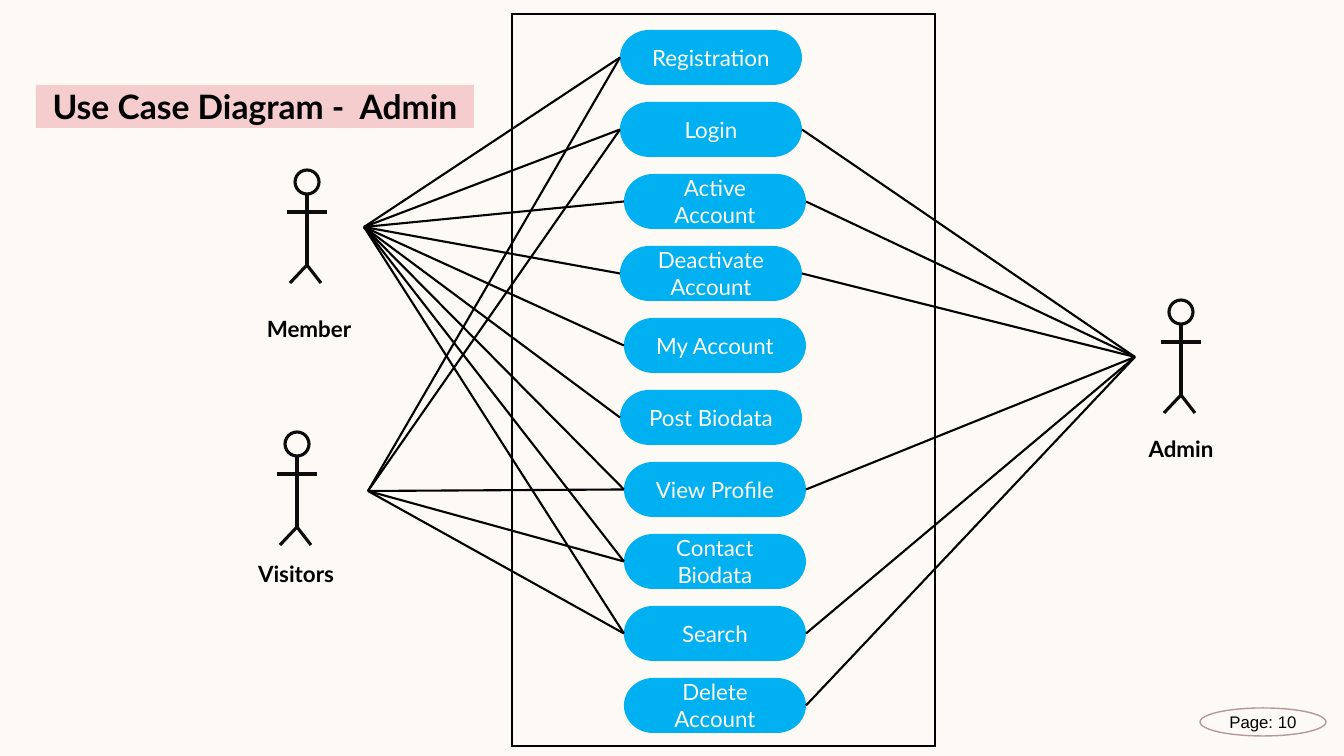
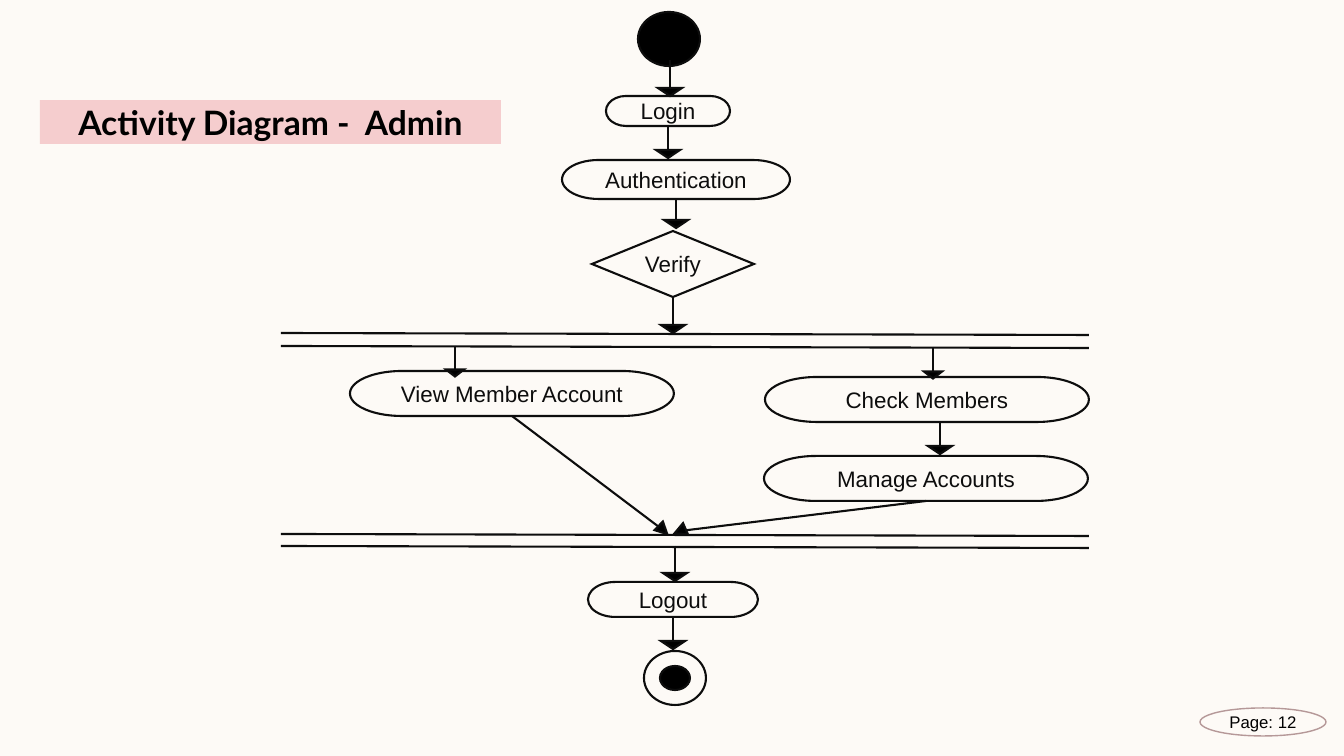
from lxml.etree import SubElement
from pptx import Presentation
from pptx.dml.color import RGBColor
from pptx.enum.shapes import MSO_CONNECTOR, MSO_SHAPE
from pptx.enum.text import MSO_ANCHOR, PP_ALIGN
from pptx.oxml.ns import qn
from pptx.util import Emu, Pt

PX = 914400 / 100.8  # EMU in one px
TOP, LEFT, BOTTOM, RIGHT = range(4)

# Theme: colours, type sizes and line widths
THEME = {
    "paper": "FDFAF6",
    "title": {"fill": "F5CDCE", "font": "Lato", "size": 24, "bold": True, "color": "000000"},
    "page_mark": {"line": "B59898", "width": 1, "font": "Arial", "size": 12, "color": "000000"},
    "use_case": {"fill": "00B0F0", "font": "Lato", "size": 16, "color": "FDFAF6", "wrap": True},
    "actor_name": {"font": "Lato", "size": 16, "bold": True, "color": "000000", "wrap": True},
    "stick": {"line": "0D0D0D", "width": 2.25},
    "link": {"line": "000000", "width": 1.5},
    "step": {"line": "0D0D0D", "width": 1.5, "font": "Arial", "size": 16, "color": "0D0D0D"},
    "solid": {"fill": "000000", "line": "0D0D0D", "width": 1.5},
}


def add_box(page, kind, bounds, style, text=""):
    """Add a preset shape, or a text box when kind is None."""
    place = [Emu(round(value * PX)) for value in bounds]
    if kind is None:
        box = page.shapes.add_textbox(*place)
    else:
        box = page.shapes.add_shape(kind, *place)
        box.shadow.inherit = False
    if "fill" in style:
        box.fill.solid()
        box.fill.fore_color.rgb = RGBColor.from_string(style["fill"])
    else:
        box.fill.background()
    if "line" in style:
        box.line.color.rgb = RGBColor.from_string(style["line"])
        box.line.width = Pt(style["width"])
        outline = box._element.spPr.find(qn("a:ln"))
        SubElement(outline, qn("a:miter"), lim="800000")
    else:
        box.line.fill.background()
    if text:
        frame = box.text_frame
        frame.word_wrap = style.get("wrap", False)
        frame.vertical_anchor = MSO_ANCHOR.MIDDLE
        para = frame.paragraphs[0]
        para.alignment = PP_ALIGN.CENTER
        span = para.add_run()
        span.text = text
        formats = {"name": style["font"], "size": Pt(style["size"]),
                   "bold": style.get("bold", False)}
        for name, value in formats.items():
            setattr(span.font, name, value)
        span.font.color.rgb = RGBColor.from_string(style["color"])
    return box


def add_line(page, start, end, style, source=None, side=BOTTOM):
    """Add a straight line, joined to the source box when there is one."""
    ends = [Emu(round(value * PX)) for value in (*start, *end)]
    line = page.shapes.add_connector(MSO_CONNECTOR.STRAIGHT, *ends)
    line.line.color.rgb = RGBColor.from_string(style["line"])
    line.line.width = Pt(style["width"])
    SubElement(line._element.spPr, qn("a:effectLst"))
    if source is not None:
        line.begin_connect(source, side)


# Deck, shared background, titles and page marks
deck = Presentation()
deck.slide_width, deck.slide_height = Emu(round(1344 * PX)), Emu(round(756 * PX))
backdrop = deck.slide_master.background.fill
backdrop.solid()
backdrop.fore_color.rgb = RGBColor.from_string(THEME["paper"])

pages = []
for title, bounds, mark in [
    ("Use Case Diagram -  Admin", (36, 85, 438, 43), "Page: 10"),
    ("Activity Diagram -  Admin", (40, 100, 461, 44), "Page: 12"),
]:
    page = deck.slides.add_slide(deck.slide_layouts[6])
    add_box(page, MSO_SHAPE.RECTANGLE, bounds, THEME["title"], title)
    add_box(page, MSO_SHAPE.OVAL, (1200, 708, 126, 28), THEME["page_mark"], mark)
    pages.append(page)
use_case_page, activity_page = pages

# Use cases inside the system frame
add_box(use_case_page, MSO_SHAPE.RECTANGLE, (512, 14, 423, 732), THEME["link"])
use_cases = {}
for row, (name, left) in enumerate([
    ("Registration", 620), ("Login", 620), ("Active Account", 624),
    ("Deactivate Account", 620), ("My Account", 624), ("Post Biodata", 620),
    ("View Profile", 624), ("Contact Biodata", 624), ("Search", 624),
    ("Delete Account", 624),
]):
    use_cases[name] = add_box(use_case_page, MSO_SHAPE.FLOWCHART_TERMINATOR,
                              (left, 30 + 72 * row, 182, 55), THEME["use_case"], name)

# Actors: centre and top of the head, top left of the name, hub of the links
actors = [
    ("Member", (307, 170), (195, 301), (364, 227), LEFT,
     ["Registration", "Login", "Active Account", "Deactivate Account", "My Account",
      "Post Biodata", "View Profile", "Contact Biodata", "Search"]),
    ("Visitors", (297, 432), (182, 546), (368, 491), LEFT,
     ["Registration", "Login", "View Profile", "Contact Biodata", "Search"]),
    ("Admin", (1181, 300), (1067, 421), (1135, 357), RIGHT,
     ["Login", "Active Account", "Deactivate Account", "View Profile", "Search",
      "Delete Account"]),
]
limbs = [((0, 25), (0, 95)), ((20, 42), (-20, 42)),
         ((0, 95), (-17, 113)), ((0, 95), (14, 113))]
for name, (x, y), (name_left, name_top), hub, side, linked in actors:
    add_box(use_case_page, MSO_SHAPE.OVAL, (x - 12, y, 24, 24), THEME["stick"])
    for (x1, y1), (x2, y2) in limbs:
        add_line(use_case_page, (x + x1, y + y1), (x + x2, y + y2), THEME["stick"])
    add_box(use_case_page, None, (name_left, name_top, 228, 55), THEME["actor_name"], name)
    for target in linked:
        box = use_cases[target]
        start = (box.left / PX, (box.top + box.height / 2) / PX)
        add_line(use_case_page, start, hub, THEME["link"], box, side)

# Activity steps
steps = {}
for name, kind, bounds in [
    ("Login", MSO_SHAPE.FLOWCHART_TERMINATOR, (606, 96, 124, 30)),
    ("Authentication", MSO_SHAPE.FLOWCHART_TERMINATOR, (562, 160, 228, 39)),
    ("Verify", MSO_SHAPE.FLOWCHART_DECISION, (592, 231, 162, 66)),
    ("View Member Account", MSO_SHAPE.FLOWCHART_TERMINATOR, (350, 371, 324, 45)),
    ("Check Members", MSO_SHAPE.FLOWCHART_TERMINATOR, (765, 377, 324, 45)),
    ("Manage Accounts", MSO_SHAPE.FLOWCHART_TERMINATOR, (764, 456, 324, 45)),
    ("Logout", MSO_SHAPE.FLOWCHART_TERMINATOR, (588, 582, 170, 35)),
]:
    steps[name] = add_box(activity_page, kind, bounds, THEME["step"], name)

# Start and end marks
for bounds, style in [((638, 12, 62, 54), "solid"), ((644, 651, 62, 54), "step"),
                      ((660, 666, 30, 24), "solid")]:
    add_box(activity_page, MSO_SHAPE.OVAL, bounds, THEME[style])

# Fork and join bars
for y in (333, 346, 534, 546):
    add_line(activity_page, (281, y), (1089, y + 2), THEME["step"])

# Arrows: source step, start, centre of the head, head size, head rotation
wide, small, square = (24, 8), (18, 7), (12, 12)
for source, start, end, (width, height), rotation in [
    (None, (670, 60), (670, 92), wide, 180),
    ("Login", (668, 126), (668, 154), wide, 180),
    ("Authentication", (676, 199), (676, 224), wide, 180),
    ("Verify", (673, 297), (673, 329), wide, 180),
    (None, (455, 346), (455, 373), small, 180),
    (None, (933, 347), (933, 375), small, 180),
    (None, (940, 423), (940, 450), wide, 180),
    ("View Member Account", (512, 416), (663, 530), square, 134.3),
    ("Manage Accounts", (926, 501), (680, 531), square, 246.4),
    (None, (675, 546), (675, 577), wide, 180),
    ("Logout", (673, 617), (673, 645), wide, 180),
]:
    add_line(activity_page, start, end, THEME["step"], steps.get(source))
    head = add_box(activity_page, MSO_SHAPE.FLOWCHART_EXTRACT,
                   (end[0] - width / 2, end[1] - height / 2, width, height), THEME["solid"])
    head.rotation = rotation

deck.save("out.pptx")
